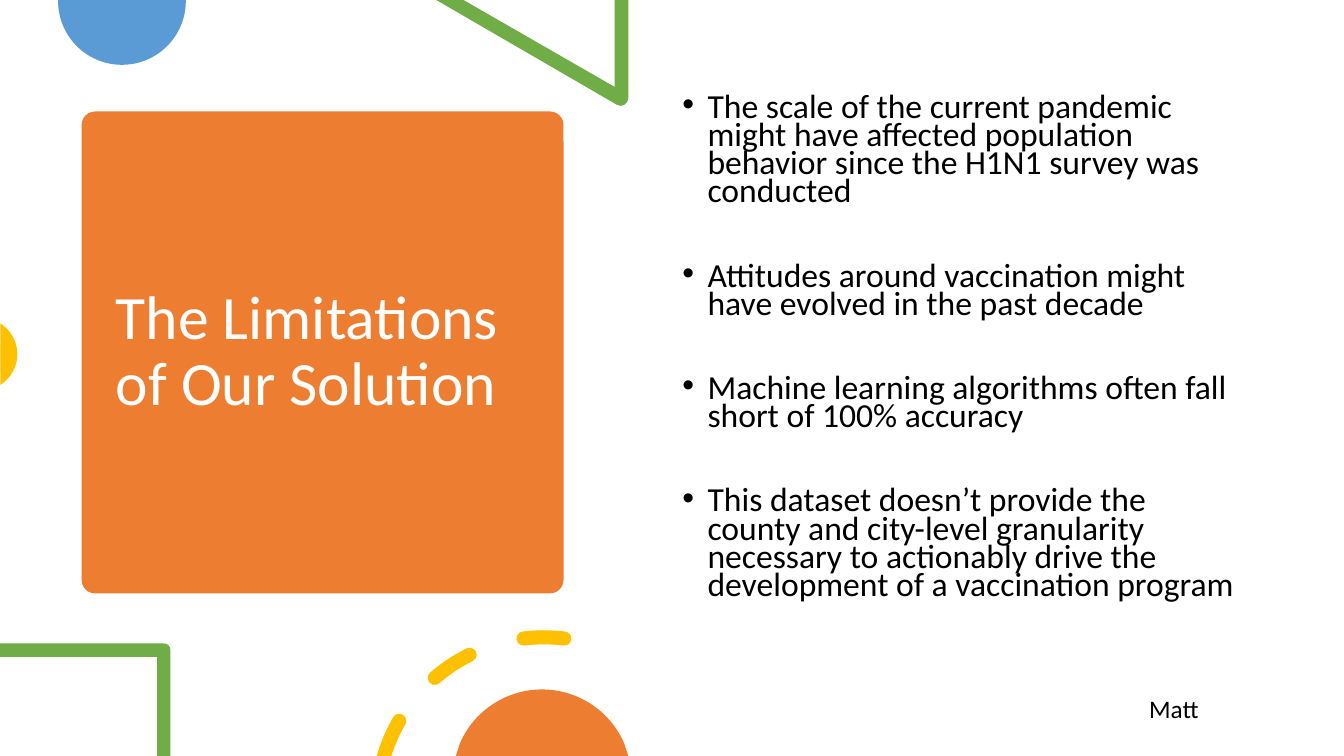
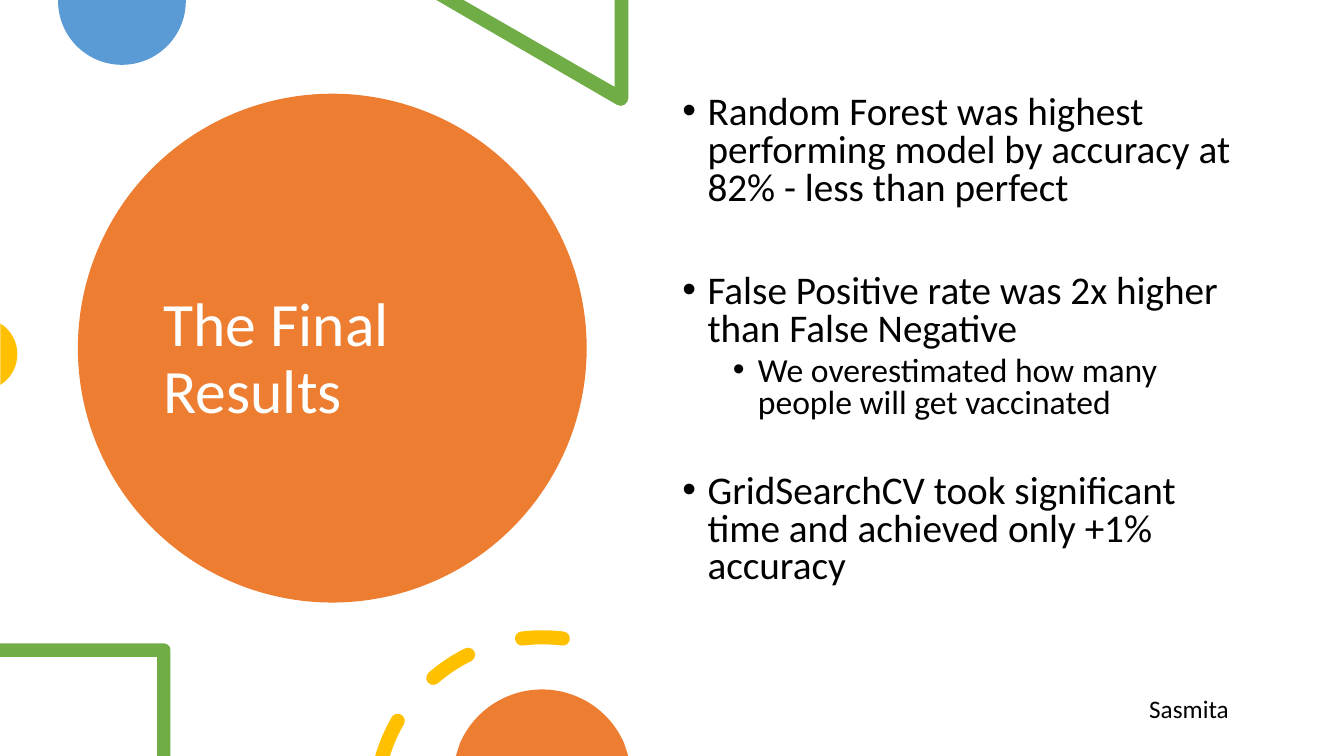
from math import asin, ceil, cos, degrees, radians, sin, tan

from lxml import etree
from pptx import Presentation
from pptx.dml.color import RGBColor
from pptx.enum.shapes import MSO_SHAPE
from pptx.enum.text import MSO_ANCHOR, MSO_AUTO_SIZE, PP_ALIGN
from pptx.oxml.ns import qn
from pptx.util import Inches, Pt

ROUND_RECT, ELLIPSE = MSO_SHAPE.ROUNDED_RECTANGLE, MSO_SHAPE.OVAL
TOP, MIDDLE = MSO_ANCHOR.TOP, MSO_ANCHOR.MIDDLE
LEFT = PP_ALIGN.LEFT
NO_FIT = MSO_AUTO_SIZE.NONE

# Lengths are hundredths of the slide's height.
SLIDE_W, SLIDE_H = Inches(13.333), Inches(7.5)
UNIT = SLIDE_H / 100

FONT = "Calibri"
COLORS = {
    "orange": "ED7D31",
    "blue": "5B9BD5",
    "green": "70AD47",
    "yellow": "FFC000",
    "white": "FFFFFF",
    "black": "000000",
}
BODY_BOX = (88.95, 12, 76.65, 71.3)
TITLE_ONLY = 5


def rgb(name):
    return RGBColor.from_string(COLORS[name])


def emu(*lengths):
    return [round(length * UNIT) for length in lengths]


def paint(sp, color):
    sp.shadow.inherit = False
    sp.fill.solid()
    sp.fill.fore_color.rgb = rgb(color)
    sp.line.fill.background()


def arc(cx, cy, radius, start, end):
    """A start point, then Bezier curves of three points each.

    Degrees run clockwise from the right.
    """
    count = ceil(abs(end - start) / 90)
    step = radians(end - start) / count
    reach = radius * 4 / 3 * tan(step / 4)

    def at(a, along=0):
        return (cx + radius * cos(a) - along * sin(a),
                cy + radius * sin(a) + along * cos(a))

    angles = [radians(start) + step * i for i in range(count + 1)]
    curves = [[at(a, reach), at(b, -reach), at(b)] for a, b in zip(angles, angles[1:])]
    return [at(angles[0])] + curves


def dash(cx, cy, radius, end, start=None, half=0.93):
    """Outline of a round-capped arc stroke; without start, cut at the slide's bottom."""
    def begin(r):
        return 180 + degrees(asin((cy - 100) / r)) if start is None else start

    outer, inner = radius + half, radius - half
    x, y = arc(cx, cy, radius, end, end + 1)[0]
    outline = arc(cx, cy, outer, begin(outer), end)
    outline += arc(x, y, half, end, end + 180)[1:]
    outline += arc(cx, cy, inner, end, begin(inner))[1:]
    if start is not None:
        x, y = arc(cx, cy, radius, start, end)[0]
        outline += arc(x, y, half, start + 180, start + 360)[1:]
    return outline


def bend(path, steps):
    """Merge the lines that stand for a curve into one Bezier segment."""
    lines = iter(path.findall(qn("a:lnTo")))
    for step in steps:
        line = next(lines)
        if isinstance(step, list):
            curve = etree.Element(qn("a:cubicBezTo"))
            line.addprevious(curve)
            for part in (line, next(lines), next(lines)):
                curve.append(part[0])
                path.remove(part)


def add_outline(s, color, *contours):
    builder = None
    for start, *steps in contours:
        if builder is None:
            builder = s.shapes.build_freeform(*emu(*start), scale=1.0)
        else:
            builder.move_to(*emu(*start))
        points = [pt for step in steps
                  for pt in (step if isinstance(step, list) else [step])]
        builder.add_line_segments([tuple(emu(*pt)) for pt in points])
    sp = builder.convert_to_shape()
    path = next(sp.element.iter(qn("a:path")))
    bend(path, [step for contour in contours for step in contour[1:]])
    paint(sp, color)


def add_decoration(s, ring_x):
    add_outline(s, "blue", arc(16.13, 0.13, 8.45, 0, 180) + [(7.68, 0), (24.58, 0)])
    add_outline(
        s, "green",
        [(83.1, 0), (81.3, 0), (81.3, 11.5), (61.3, 0), (57.7, 0)]
        + arc(82.1, 13, 1, 120, 0),
    )
    add_outline(s, "yellow", arc(-2.5, 46.85, 4.8, -58, 58))
    add_outline(
        s, "green",
        [(0, 85.1)] + arc(21.65, 86, 0.9, -90, 0)
        + [(22.55, 100), (20.8, 100), (20.8, 86.9), (0, 86.9)],
    )
    ring = (ring_x, 106.4, 22.1)
    add_outline(s, "yellow", dash(*ring, 210), dash(*ring, 243.6, 229.2),
                dash(*ring, 277, 263))
    add_outline(s, "orange",
                arc(71.7, 103.04, 11.84, 203.6, 336.4) + [(83.1, 100), (60.3, 100)])


def setup_frame(sp, anchor=TOP):
    tf = sp.text_frame
    tf.word_wrap = True
    tf.auto_size = NO_FIT
    tf.vertical_anchor = anchor
    return tf


def write(p, text, size=18, color="black", spacing=1.0, before=0):
    p.alignment = LEFT
    p.line_spacing = spacing
    p.space_before = Pt(before)
    r = p.add_run()
    r.text = text
    r.font.name = FONT
    r.font.size = Pt(size)
    r.font.color.rgb = rgb(color)


def add_bullet(p, level):
    p.level = level
    pPr = p._p.get_or_add_pPr()
    pPr.set("marL", str(Inches(0.25 + 0.5 * level)))
    pPr.set("indent", str(Inches(-0.25)))
    etree.SubElement(pPr, qn("a:buFont")).set("typeface", "Arial")
    etree.SubElement(pPr, qn("a:buChar")).set("char", "•")


def add_title(s, text, box, card_shape, card_box):
    title = s.shapes.title
    card = s.shapes.add_shape(card_shape, *emu(*card_box))
    paint(card, "orange")
    if card_shape == ROUND_RECT:
        card.adjustments[0] = 0.028
    title.element.addprevious(card.element)
    title.left, title.top, title.width, title.height = emu(*box)
    tf = setup_frame(title, MIDDLE)
    write(tf.paragraphs[0], text, size=44, color="white", spacing=0.9)


def add_bullets(s, items, spacing):
    """Each item is (text, level, size, points before)."""
    tf = setup_frame(s.shapes.add_textbox(*emu(*BODY_BOX)))
    for i, (text, level, size, before) in enumerate(items):
        p = tf.add_paragraph() if i else tf.paragraphs[0]
        write(p, text, size=size, spacing=spacing, before=before)
        add_bullet(p, level)


def add_speaker(s, name, width):
    sp = s.shapes.add_textbox(*emu(150.7, 91.1, width, 5.3))
    write(setup_frame(sp).paragraphs[0], name)


def add_slide(prs, title, title_box, card_shape, card_box, ring_x,
              items, spacing, speaker, speaker_width):
    s = prs.slides.add_slide(prs.slide_layouts[TITLE_ONLY])
    add_title(s, title, title_box, card_shape, card_box)
    add_decoration(s, ring_x)
    add_bullets(s, items, spacing)
    add_speaker(s, speaker, speaker_width)


def main():
    prs = Presentation()
    prs.slide_width, prs.slide_height = SLIDE_W, SLIDE_H

    limitations = [
        "The scale of the current pandemic might have affected population "
        "behavior since the H1N1 survey was conducted",
        "Attitudes around vaccination might have evolved in the past decade",
        "Machine learning algorithms often fall short of 100% accuracy",
        "This dataset doesn’t provide the county and city-level granularity "
        "necessary to actionably drive the development of a vaccination program",
    ]
    add_slide(
        prs, "The Limitations of Our Solution", (14, 16.25, 57.5, 60.8),
        ROUND_RECT, (10.8, 14.75, 63.75, 63.75), ring_x=71.95,
        items=[(text, 0, 24, 40 if i else 0) for i, text in enumerate(limitations)],
        spacing=0.7, speaker="Matt", speaker_width=22.8,
    )

    results = [
        ("Random Forest was highest performing model by accuracy at 82% "
         "- less than perfect", 0, 28, 0),
        ("False Positive rate was 2x higher than False Negative", 0, 28, 47),
        ("We overestimated how many people will get vaccinated", 1, 24, 5),
        ("GridSearchCV took significant time and achieved only +1% accuracy",
         0, 28, 38),
    ]
    add_slide(
        prs, "The Final Results", (20.3, 18, 47.2, 59.3),
        ELLIPSE, (10.3, 12.4, 67.3, 67.3), ring_x=71.75,
        items=results, spacing=0.8, speaker="Sasmita", speaker_width=27,
    )
    prs.save("out.pptx")


if __name__ == "__main__":
    main()
